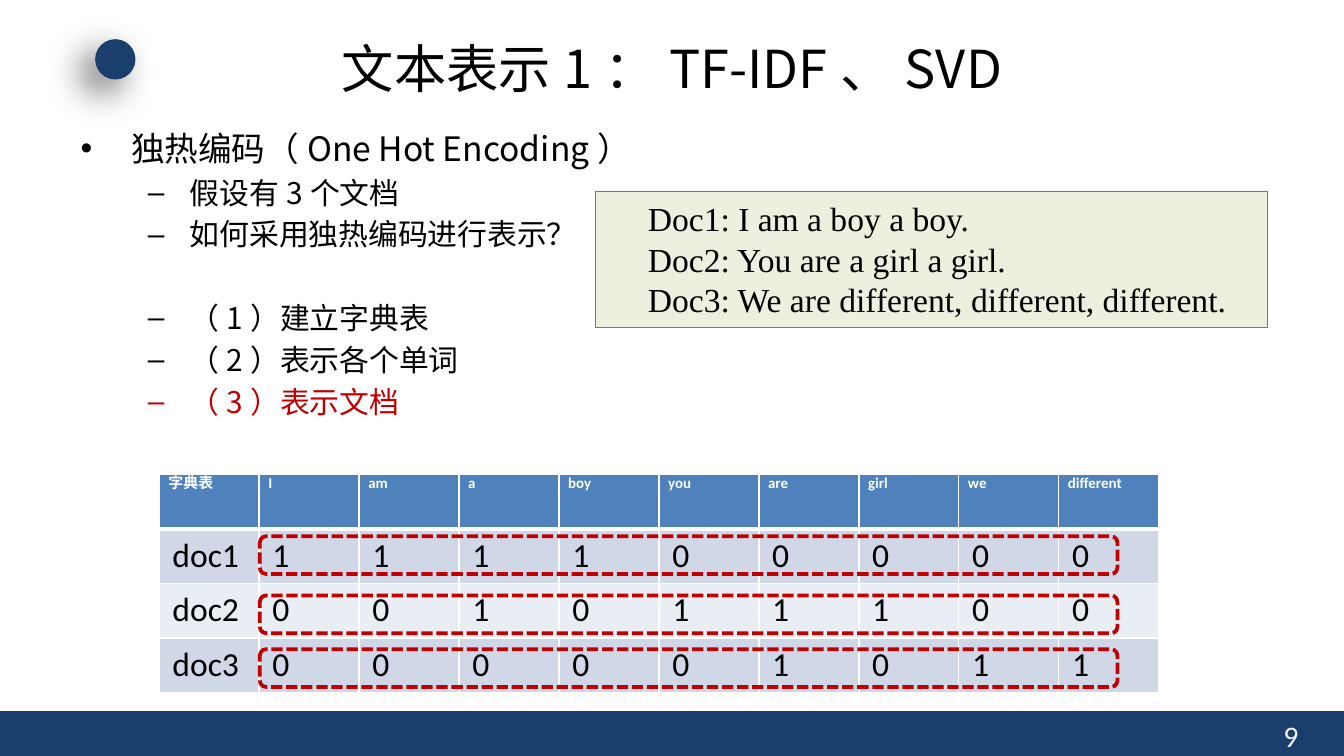
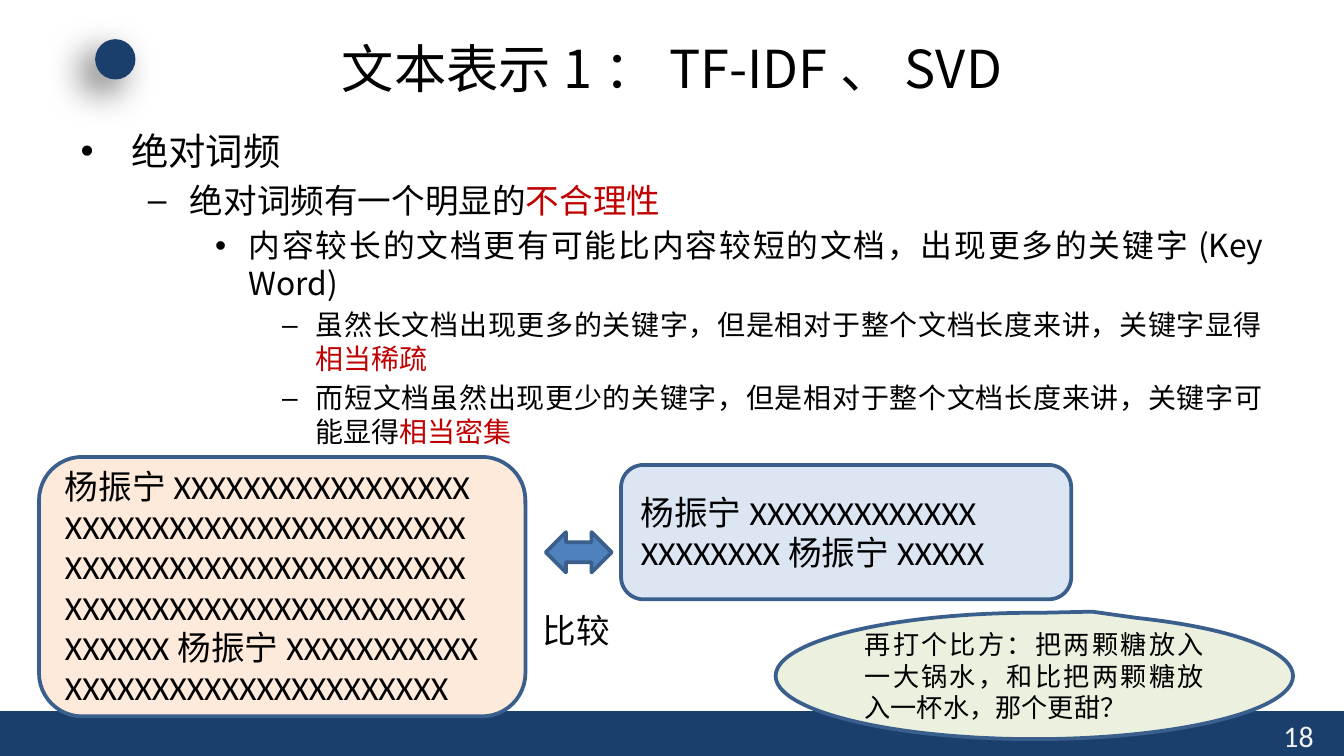
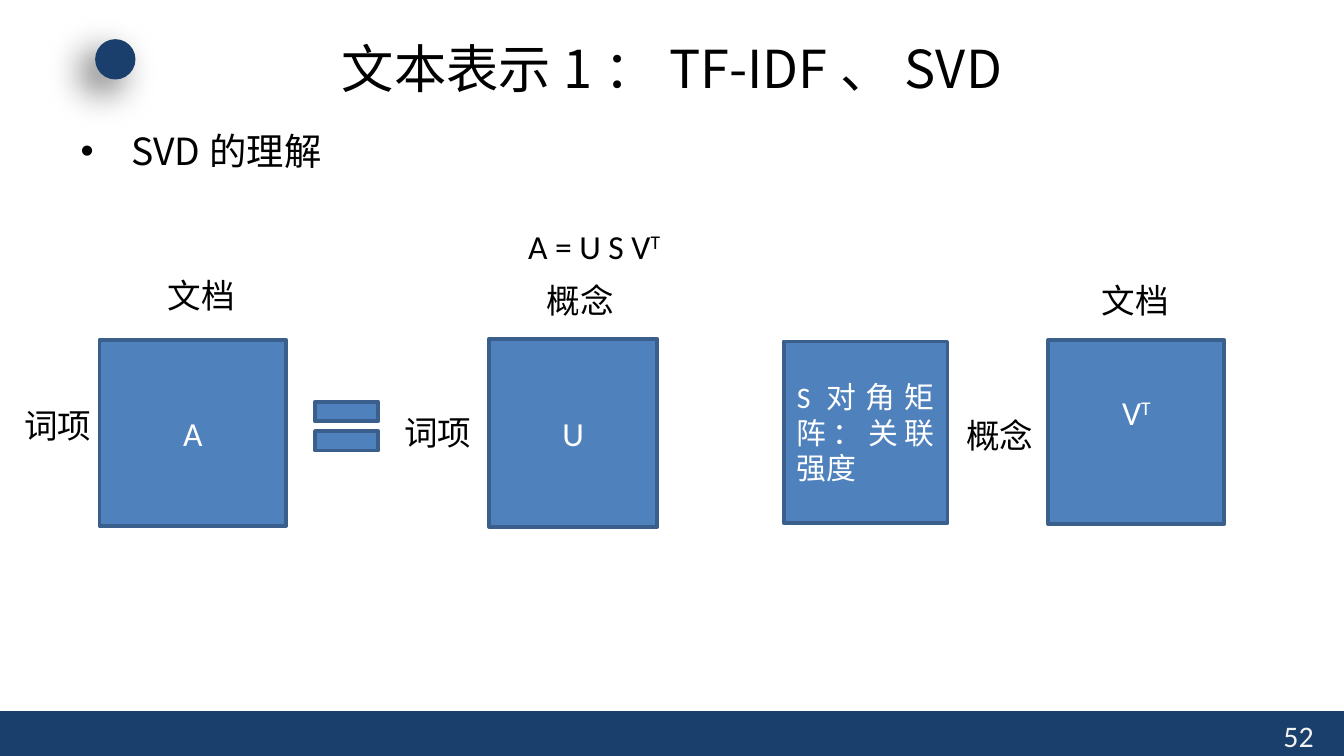
from lxml.etree import SubElement
from pptx import Presentation
from pptx.dml.color import RGBColor
from pptx.enum.dml import MSO_LINE
from pptx.enum.shapes import MSO_SHAPE
from pptx.enum.text import MSO_ANCHOR, MSO_AUTO_SIZE, PP_ALIGN
from pptx.oxml import parse_xml
from pptx.oxml.ns import nsdecls, qn
from pptx.util import Pt

TITLE = "文本表示1：TF-IDF、SVD"
CJK, SANS, SERIF = "Noto Sans CJK SC", "Calibri", "Times New Roman"
NAVY, BLUE, EDGE, RED = "1A3F6C", "4F81BD", "3A5F8C", "C00000"
BLACK, WHITE, PALE = "000000", "FFFFFF", "F2F2F2"
GREEN, PEACH, ICE = "EBF1DE", "FDEADA", "DCE6F2"
ROW_FILLS = ["D0D8E8", "E9EDF4"]
BULLETS = [("•", 27, -27), ("–", 58.5, -22.5), ("•", 90, -18), ("–", 126, -18)]
LEFT, CENTER, JUSTIFY = PP_ALIGN.LEFT, PP_ALIGN.CENTER, PP_ALIGN.JUSTIFY


def rgb(color):
    return RGBColor.from_string(color)


def pts(*values):
    return [Pt(v) for v in values]


def write(p, runs, size, color=BLACK, font=SANS, align=LEFT, bold=False):
    p.alignment = align
    p.line_spacing = Pt(round(size * 1.2, 2))
    for item in runs:
        text, run_color = item if isinstance(item, tuple) else (item, color)
        r = p.add_run()
        r.text = text
        r.font.size = Pt(size)
        r.font.bold = bold
        r.font.color.rgb = rgb(run_color)
        r.font.name = font
        SubElement(r._r.get_or_add_rPr(), qn("a:ea")).set("typeface", CJK)


def write_lines(tf, lines, size, **style):
    for i, line in enumerate(lines):
        p = tf.add_paragraph() if i else tf.paragraphs[0]
        write(p, [line] if isinstance(line, str) else line, size, **style)


def superscript(p):
    p.runs[-1]._r.get_or_add_rPr().set("baseline", "30000")


def add_block(s, kind, box, fill=None, line=None, width=2):
    sp = s.shapes.add_shape(kind, *pts(*box))
    sp.shadow.inherit = False
    if fill:
        sp.fill.solid()
        sp.fill.fore_color.rgb = rgb(fill)
    else:
        sp.fill.background()
    if line:
        sp.line.color.rgb = rgb(line)
        sp.line.width = Pt(width)
    else:
        sp.line.fill.background()
    sp.text_frame.word_wrap = True
    sp.text_frame.vertical_anchor = MSO_ANCHOR.MIDDLE
    return sp


def add_label(s, x, y, runs, w=51):
    sp = s.shapes.add_textbox(*pts(x, y, w, 28.8))
    tf = sp.text_frame
    tf.word_wrap = False
    tf.auto_size = MSO_AUTO_SIZE.SHAPE_TO_FIT_TEXT
    write(tf.paragraphs[0], runs, 18)
    return tf.paragraphs[0]


def place(sp, box, anchor):
    sp.left, sp.top, sp.width, sp.height = pts(*box)
    tf = sp.text_frame
    tf.word_wrap = True
    tf.auto_size = MSO_AUTO_SIZE.NONE
    tf.vertical_anchor = anchor
    return tf


def add_bullets(tf, items):
    for i, (level, size, runs, align, *gap) in enumerate(items):
        p = tf.add_paragraph() if i else tf.paragraphs[0]
        char, margin, indent = BULLETS[level]
        p.level = level
        pPr = p._p.get_or_add_pPr()
        pPr.set("marL", str(Pt(margin)))
        pPr.set("indent", str(Pt(indent)))
        SubElement(pPr, qn("a:buFont")).set("typeface", "Arial")
        SubElement(pPr, qn("a:buChar")).set("char", char)
        p.space_before = Pt(gap[0] if gap else size * 0.2 if i else 0)
        write(p, runs, size, font=CJK, align=align)


def add_footer(s, x, y, w, h, number):
    add_block(s, MSO_SHAPE.RECTANGLE, (x, y, w, h), NAVY)
    sp = s.shapes.add_textbox(*pts(x + w - 39.5, y, 36, 21.6))
    sp.text_frame.word_wrap = True
    write(sp.text_frame.paragraphs[0], [number], 16, PALE)


def add_dot(s, x, y, d):
    sp = add_block(s, MSO_SHAPE.OVAL, (x, y, d, d), NAVY)
    effects = sp._element.spPr.find(qn("a:effectLst"))
    effects.append(parse_xml(
        f'<a:outerShdw {nsdecls("a")} blurRad="{Pt(20)}" dist="{Pt(10)}" dir="8100000" '
        f'algn="ctr" rotWithShape="0"><a:srgbClr val="{BLACK}"><a:alpha val="60000"/>'
        '</a:srgbClr></a:outerShdw>'))


def new_slide(prs, number, items):
    s = prs.slides.add_slide(prs.slide_layouts[1])
    add_footer(s, 0, 381, 720, 24, number)
    add_dot(s, 51, 21, 21.6)
    tf = place(s.shapes.title, (36, 16.5, 648, 39.6), MSO_ANCHOR.MIDDLE)
    write(tf.paragraphs[0], [TITLE], 28, font=CJK, align=CENTER)
    add_bullets(place(s.placeholders[1], (36, 65, 648, 310), MSO_ANCHOR.TOP), items)
    return s


def style_cell(cell, text, fill, header):
    tcPr = cell._tc.get_or_add_tcPr()
    for side in "LRTB":
        width = 3 if header and side == "B" else 1
        ln = SubElement(tcPr, qn(f"a:ln{side}"), w=str(Pt(width)))
        SubElement(SubElement(ln, qn("a:solidFill")), qn("a:srgbClr")).set("val", WHITE)
    cell.fill.solid()
    cell.fill.fore_color.rgb = rgb(fill)
    p = cell.text_frame.paragraphs[0]
    if header:
        cell.margin_left = cell.margin_right = Pt(5)
        cell.margin_top = cell.margin_bottom = 0
        write(p, [text], 8, WHITE, align=JUSTIFY, bold=True)
    else:
        write(p, [text], 18)


def add_one_hot_table(s, x, y, w, h):
    rows = [
        ["字典表", "I", "am", "a", "boy", "you", "are", "girl", "we", "different"],
        ["doc1", *"111100000"],
        ["doc2", *"001011100"],
        ["doc3", *"000001011"],
    ]
    table = s.shapes.add_table(len(rows), len(rows[0]), *pts(x, y, w, h)).table
    for column in table.columns:
        column.width = Pt(w / len(rows[0]))
    for i, row in enumerate(rows):
        table.rows[i].height = Pt(h / len(rows))
        for j, text in enumerate(row):
            fill = ROW_FILLS[(i - 1) % 2] if i else BLUE
            style_cell(table.cell(i, j), text, fill, i == 0)
    for dy in (33.1, 64.8, 93.6):
        frame = add_block(s, MSO_SHAPE.ROUNDED_RECTANGLE, (x + 54, y + dy, 459.4, 20.2), line=RED)
        frame.line.dash_style = MSO_LINE.SQUARE_DOT


def add_documents(s, box):
    sp = add_block(s, MSO_SHAPE.RECTANGLE, box, GREEN, BLUE, 0.75)
    tf = sp.text_frame
    tf.vertical_anchor = MSO_ANCHOR.TOP
    tf.auto_size = MSO_AUTO_SIZE.SHAPE_TO_FIT_TEXT
    write_lines(tf, [
        "Doc1: I am a boy a boy.",
        "Doc2: You are a girl a girl.",
        "Doc3: We are different, different, different.",
    ], 18, font=SERIF, align=JUSTIFY)
    for p in tf.paragraphs:
        p._p.get_or_add_pPr().set("indent", str(Pt(21)))


def add_comparison(s, x, y):
    long_doc = ["杨振宁" + "X" * 17, *["X" * 23] * 3, "X" * 6 + "杨振宁" + "X" * 11, "X" * 22]
    short_doc = ["杨振宁" + "X" * 13, "X" * 8 + "杨振宁" + "X" * 5]
    analogy = ["再打个比方：把两颗糖放入一大锅水，和比把两颗糖放入一杯水，那个更甜？"]
    blocks = [
        (MSO_SHAPE.ROUNDED_RECTANGLE, (x, y, 260.6, 139), PEACH, long_doc, 18),
        (MSO_SHAPE.ROUNDED_RECTANGLE, (x + 311.8, y + 4.3, 241.2, 72), ICE, short_doc, 18),
        (MSO_SHAPE.OVAL_CALLOUT, (x + 394.6, y + 83.5, 277.2, 67.7), GREEN, analogy, 14),
    ]
    for kind, box, fill, lines, size in blocks:
        sp = add_block(s, kind, box, fill, EDGE)
        write_lines(sp.text_frame, lines, size, align=JUSTIFY)
    sp.adjustments[0], sp.adjustments[1] = 0.112, -0.509
    add_block(s, MSO_SHAPE.LEFT_RIGHT_ARROW, (x + 271.5, y + 40.3, 35.3, 21.6), BLUE, EDGE)
    add_label(s, x + 262.8, y + 78.5, ["比较"])


def add_factorisation(s, x, y):
    superscript(add_label(s, x + 270, y, ["A = U S V", "T"], 87))
    matrices = [
        ((47.5, 64.8, 100, 99.4), ["A"], 18, CENTER),
        ((256.3, 64.1, 90, 100.8), ["U"], 18, CENTER),
        ((414, 65.5, 87.8, 97.2), ["S对角矩阵：关联强度"], 16, JUSTIFY),
        ((555.8, 64.8, 94.3, 98.6), ["V", "T"], 18, CENTER),
    ]
    for (dx, dy, w, h), runs, size, align in matrices:
        sp = add_block(s, MSO_SHAPE.RECTANGLE, (x + dx, y + dy, w, h), BLUE, EDGE)
        write(sp.text_frame.paragraphs[0], runs, size, WHITE, align=align)
    superscript(sp.text_frame.paragraphs[0])
    sp.text_frame.margin_bottom = Pt(25.2)
    add_block(s, MSO_SHAPE.MATH_EQUAL, (x + 156.9, y + 88.6, 46, 44.6), BLUE, EDGE)
    labels = [
        (0, 95.8, "词项"), (77, 26.6, "文档"), (577.4, 28.8, "文档"),
        (203.7, 100, "词项"), (280, 28.8, "概念"), (504.7, 101.5, "概念"),
    ]
    for dx, dy, text in labels:
        add_label(s, x + dx, y + dy, [text])


def build_one_hot(prs):
    s = new_slide(prs, "9", [
        (0, 18, ["独热编码（One Hot Encoding）"], LEFT),
        (1, 16, ["假设有3个文档"], LEFT),
        (1, 16, ["如何采用独热编码进行表示？"], LEFT),
        (1, 16, ["（1）建立字典表"], LEFT, 25.6),
        (1, 16, ["（2）表示各个单词"], LEFT),
        (1, 16, [("（3）表示文档", RED)], LEFT),
    ])
    add_documents(s, (319, 102.7, 360, 72.7))
    add_one_hot_table(s, 85.2, 254.2, 535.7, 116.8)


def build_term_frequency(prs):
    s = new_slide(prs, "18", [
        (0, 20, ["绝对词频"], LEFT),
        (1, 18, ["绝对词频有一个明显的", ("不合理性", RED)], JUSTIFY),
        (2, 17, ["内容较长的文档更有可能比内容较短的文档，出现更多的关键字(Key Word)"], JUSTIFY),
        (3, 15, ["虽然长文档出现更多的关键字，但是相对于整个文档长度来讲，关键字显得",
                 ("相当稀疏", RED)], JUSTIFY),
        (3, 15, ["而短文档虽然出现更少的关键字，但是相对于整个文档长度来讲，关键字可能显得",
                 ("相当密集", RED)], JUSTIFY),
    ])
    add_comparison(s, 20.9, 244.8)


def build_svd(prs):
    s = new_slide(prs, "52", [(0, 20, ["SVD的理解"], LEFT)])
    add_factorisation(s, 5.8, 117.4)


def main():
    prs = Presentation()
    prs.slide_width, prs.slide_height = pts(720, 405)
    build_one_hot(prs)
    build_term_frequency(prs)
    build_svd(prs)
    prs.save("out.pptx")


if __name__ == "__main__":
    main()
